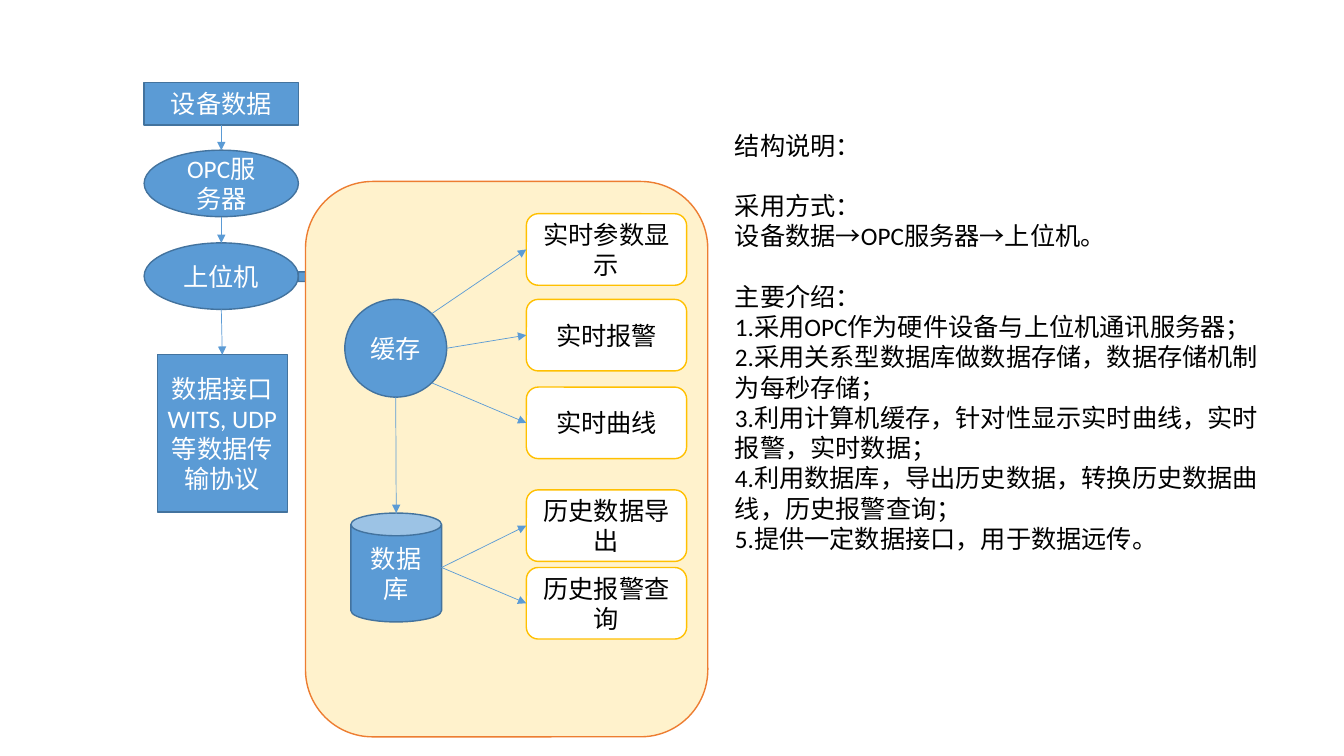
from pptx import Presentation
from pptx.dml.color import RGBColor
from pptx.enum import shapes, text
from pptx.oxml import parse_xml
from pptx.oxml.ns import nsdecls, qn
from pptx import util as u

THEME = {
    "font": "Calibri", "size": 18, "blank_line": 21.6,
    "border": 1, "arrow": 0.5, "arrow_color": "5B9BD5", "ink": "000000",
    "blue": ("5B9BD5", "43739E", "FFFFFF"),
    "panel": ("FFF2CC", "ED7D31", "000000"),
    "card": ("FFFFFF", "FFC000", "000000"),
}
KIND = shapes.MSO_SHAPE
SIDES = {"top": (0.5, 0), "bottom": (0.5, 1), "left": (0, 0.5), "right": (1, 0.5),
         "upper right": (0.854, 0.146), "lower right": (0.854, 0.854)}

SOURCE_X, SOURCE_W = 1.43, 1.53
CARD_X, CARD_W, CARD_H = 5.22, 1.59, 0.71

cards = [("实时参数显示", 2.12), ("实时报警", 2.97), ("实时曲线", 3.84),
         ("历史数据导出", 4.86), ("历史报警查询", 5.63)]
nodes = [
    ("设备数据", KIND.RECTANGLE, "blue", (SOURCE_X, 0.82, SOURCE_W, 0.42)),
    ("OPC服务器", KIND.OVAL, "blue", (SOURCE_X, 1.49, SOURCE_W, 0.66)),
    ("上位机", KIND.OVAL, "blue", (SOURCE_X, 2.41, SOURCE_W, 0.66)),
    ("", KIND.RIGHT_ARROW, "blue", (SOURCE_X + SOURCE_W, 2.65, 0.46, 0.19)),
    ("", KIND.ROUNDED_RECTANGLE, "panel", (3.03, 1.8, 3.99, 5.51)),
    ("缓存", KIND.OVAL, "blue", (3.42, 2.97, 1.01, 0.97)),
    ("数据库", KIND.CAN, "blue", (3.48, 5.09, 0.9, 1.08)),
    ("数据接口WITS, UDP等数据传输协议", KIND.RECTANGLE, "blue", (1.56, 3.52, 1.29, 1.56)),
] + [(label, KIND.ROUNDED_RECTANGLE, "card", (CARD_X, top, CARD_W, CARD_H))
     for label, top in cards]
links = [
    ("设备数据", "bottom", "OPC服务器", "top"),
    ("OPC服务器", "bottom", "上位机", "top"),
    ("上位机", "bottom", "数据接口WITS, UDP等数据传输协议", "top"),
    ("缓存", "upper right", "实时参数显示", "left"),
    ("缓存", "right", "实时报警", "left"),
    ("缓存", "lower right", "实时曲线", "left"),
    ("缓存", "bottom", "数据库", "top"),
    ("数据库", "right", "历史数据导出", "left"),
    ("数据库", "right", "历史报警查询", "left"),
]
notes_area = (7.19, 1.24, 5.45, 4.34)
sections = [
    ["结构说明："],
    ["采用方式：", "设备数据→OPC服务器→上位机。"],
    ["主要介绍：",
     "1.采用OPC作为硬件设备与上位机通讯服务器；",
     "2.采用关系型数据库做数据存储，数据存储机制为每秒存储；",
     "3.利用计算机缓存，针对性显示实时曲线，实时报警，实时数据；",
     "4.利用数据库，导出历史数据，转换历史数据曲线，历史报警查询；",
     "5.提供一定数据接口，用于数据远传。"],
]


def inches(values):
    return [u.Inches(value) for value in values]


def write(para, words, color):
    para.text = words
    para.font.name = THEME["font"]
    para.font.size = u.Pt(THEME["size"])
    para.font.color.rgb = RGBColor.from_string(color)


def add_node(page, label, kind, style, area):
    fill, border, ink = THEME[style]
    shape = page.shapes.add_shape(kind, *inches(area))
    shape.shadow.inherit = False
    shape.fill.solid()
    shape.fill.fore_color.rgb = RGBColor.from_string(fill)
    shape.line.color.rgb = RGBColor.from_string(border)
    shape.line.width = u.Pt(THEME["border"])
    if label:
        frame = shape.text_frame
        frame.word_wrap = True
        frame.vertical_anchor = text.MSO_ANCHOR.MIDDLE
        write(frame.paragraphs[0], label, ink)
        frame.paragraphs[0].alignment = text.PP_ALIGN.CENTER


def anchor(area, side):
    left, top, width, height = area
    across, down = SIDES[side]
    return left + across * width, top + down * height


def add_arrow(page, start, end):
    arrow = page.shapes.add_connector(shapes.MSO_CONNECTOR.STRAIGHT, *inches(start + end))
    arrow.line.color.rgb = RGBColor.from_string(THEME["arrow_color"])
    arrow.line.width = u.Pt(THEME["arrow"])
    properties = arrow._element.spPr
    properties.find(qn("a:ln")).append(
        parse_xml(f'<a:tailEnd {nsdecls("a")} type="triangle"/>'))
    properties.append(parse_xml(f'<a:effectLst {nsdecls("a")}/>'))


deck = Presentation()
deck.slide_width, deck.slide_height = inches((13.33, 7.5))
page = deck.slides.add_slide(deck.slide_layouts[6])

for node in nodes:
    add_node(page, *node)

areas = {label: area for label, _, _, area in nodes}
for origin, exit_side, target, entry_side in links:
    add_arrow(page, anchor(areas[origin], exit_side), anchor(areas[target], entry_side))

box = page.shapes.add_textbox(*inches(notes_area))
frame = box.text_frame
frame.word_wrap = True
for section_index, section in enumerate(sections):
    for line_index, line in enumerate(section):
        first = section_index == line_index == 0
        para = frame.paragraphs[0] if first else frame.add_paragraph()
        write(para, line, THEME["ink"])
        if section_index and not line_index:
            para.space_before = u.Pt(THEME["blank_line"])

deck.save("out.pptx")
